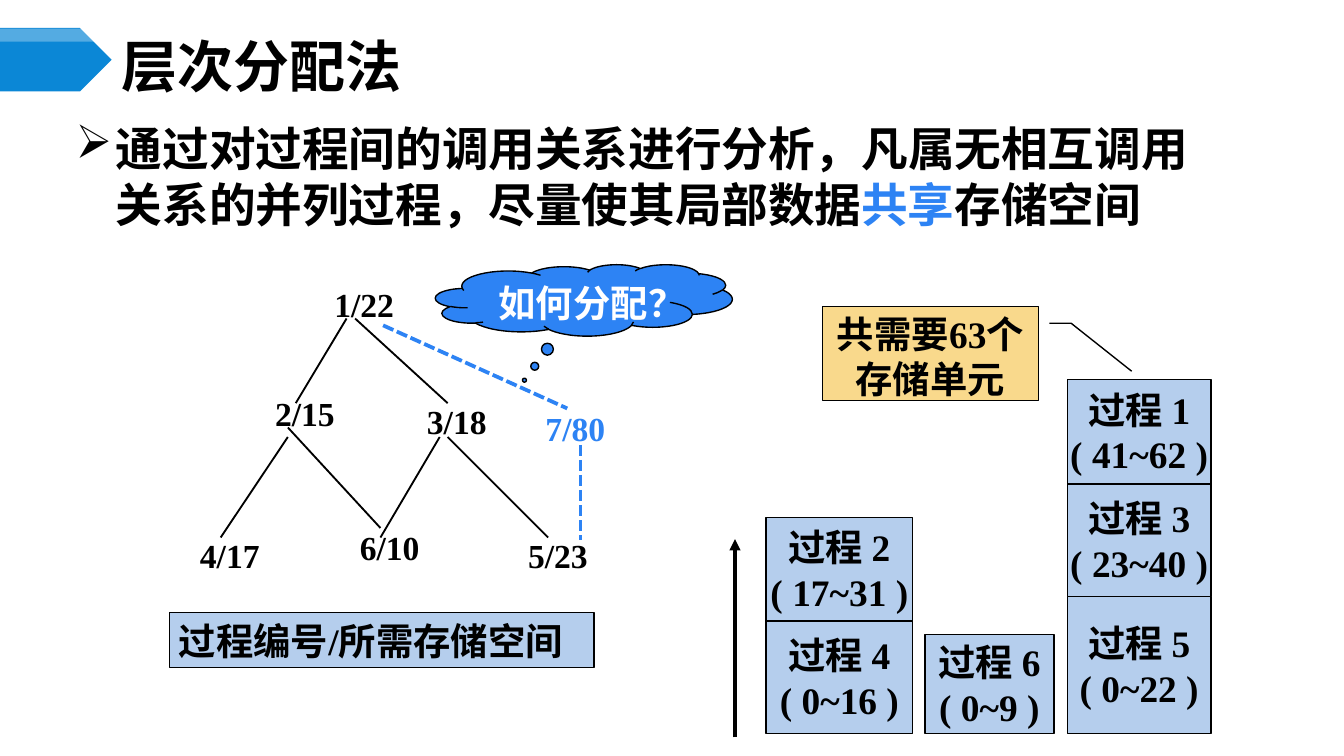
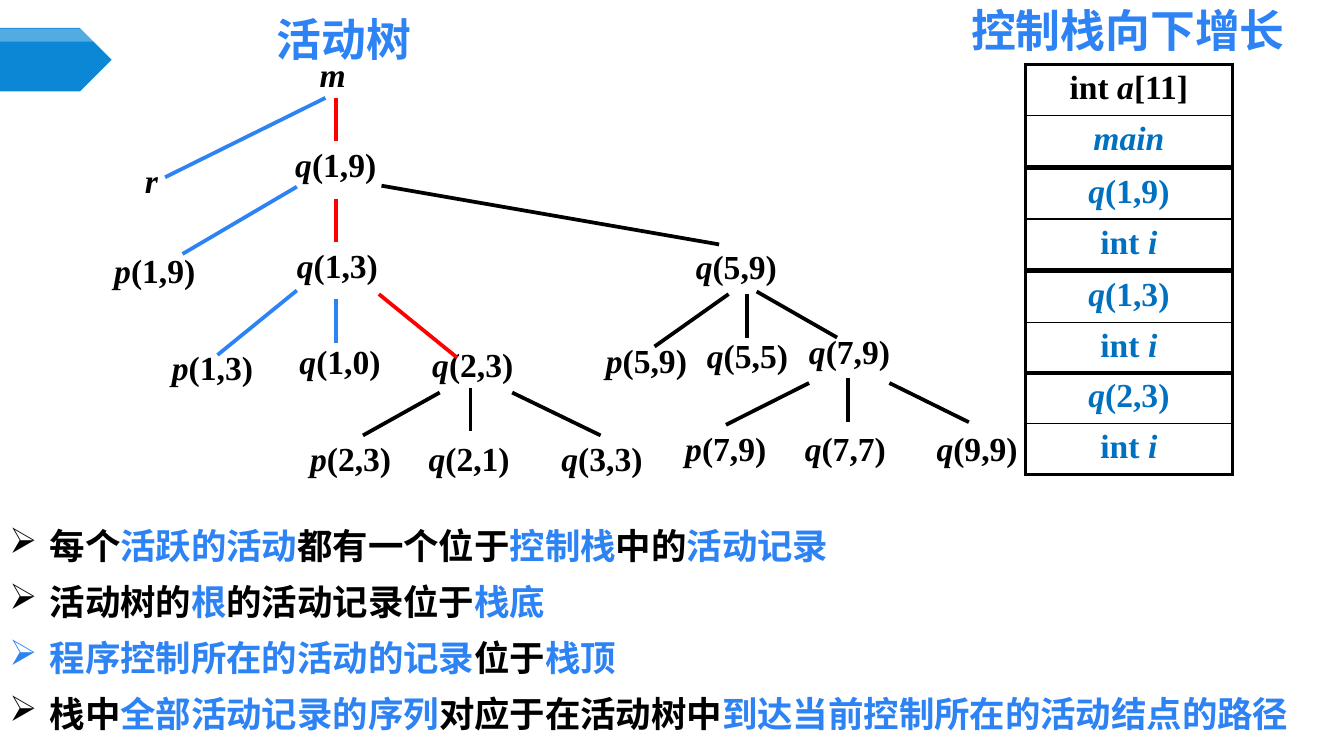
from lxml.etree import SubElement
from pptx import Presentation
from pptx.dml.color import RGBColor
from pptx.enum.dml import MSO_LINE
from pptx.enum.shapes import MSO_CONNECTOR, MSO_SHAPE
from pptx.enum.text import MSO_ANCHOR, PP_ALIGN
from pptx.oxml.ns import qn
from pptx.util import Cm, Pt

COLORS = {
    "black": "000000", "white": "FFFFFF", "band": "0B87D6", "accent": "2D83F4",
    "process": "B5CEED", "note": "F9D98C", "record": "0070C0", "active": "FF0000",
}
SERIF, SANS = "Times New Roman", "Noto Sans CJK SC"
TIGHT, NORMAL = (0.18, 0.1), (0.25, 0.13)


def rgb(name):
    return RGBColor.from_string(COLORS[name])


def write_span(para, text, size=18, color="black", font=SERIF, italic=False):
    span = para.add_run()
    span.text = text
    span.font.size, span.font.bold, span.font.italic = Pt(size), True, italic
    span.font.color.rgb = rgb(color)
    span.font.name = font
    SubElement(span.font._element, qn("a:ea")).set("typeface", SANS)


def write(para, text, marked=None, align=None, spacing=None, **style):
    """Write text; parts between asterisks also take the marked format."""
    para.alignment = align
    if spacing:
        para.line_spacing = Pt(spacing)
    for index, part in enumerate(text.split("*")):
        if part:
            write_span(para, part, **{**style, **(marked or {} if index % 2 else {})})


def fill_frame(frame, lines, margins=TIGHT, anchor=MSO_ANCHOR.TOP, wrap=True, **style):
    frame.word_wrap = wrap
    frame.vertical_anchor = anchor
    frame.margin_left = frame.margin_right = Cm(margins[0])
    frame.margin_top = frame.margin_bottom = Cm(margins[1])
    for index, line in enumerate(lines):
        para = frame.add_paragraph() if index else frame.paragraphs[0]
        write(para, line, **style)


def add_text(page, place, *lines, **style):
    box = page.shapes.add_textbox(*map(Cm, place))
    fill_frame(box.text_frame, lines, **style)
    return box


def add_box(page, place, fill, *lines, kind=MSO_SHAPE.RECTANGLE, adjustments=(),
            outline="black", **style):
    box = page.shapes.add_shape(kind, *map(Cm, place))
    box.shadow.inherit = False
    box.fill.solid()
    box.fill.fore_color.rgb = rgb(fill)
    if outline:
        box.line.color.rgb = rgb(outline)
        box.line.width = Pt(0.75)
    else:
        box.line.fill.background()
    for index, value in enumerate(adjustments):
        box.adjustments[index] = value
    if lines:
        fill_frame(box.text_frame, lines, size=20, spacing=24, **style)
    return box


def add_line(page, ends, color="black", width=2, dashed=False, arrow=False):
    line = page.shapes.add_connector(MSO_CONNECTOR.STRAIGHT, *map(Cm, ends))
    line.line.color.rgb = rgb(color)
    line.line.width = Pt(width)
    if dashed:
        line.line.dash_style = MSO_LINE.SQUARE_DOT
    if arrow:
        SubElement(line.line._get_or_add_ln(), qn("a:tailEnd")).set("type", "triangle")
    SubElement(line._element.spPr, qn("a:effectLst"))


def add_bullets(box, margin, hanging):
    for para in box.text_frame.paragraphs:
        properties = para._p.get_or_add_pPr()
        properties.set("marL", str(Cm(margin)))
        properties.set("indent", str(-Cm(hanging)))
        SubElement(properties, qn("a:buChar")).set("char", "➢")


def add_band(page):
    add_box(page, (0, 0.53, 2.11, 1.2), "band", kind=MSO_SHAPE.PENTAGON, outline=None)
    gloss = add_box(page, (0, 0.54, 2.11, 0.25), "white", kind=MSO_SHAPE.PENTAGON,
                    outline=None)
    color = gloss._element.spPr.find(qn("a:solidFill"))[0]
    SubElement(color, qn("a:alpha")).set("val", "30000")


def add_page(deck):
    page = deck.slides.add_slide(deck.slide_layouts[6])
    add_band(page)
    return page


def add_memory_column(page, left, width, processes, base=13.87):
    """Stack (number, units, height) blocks upward from the base."""
    top = base
    for number, units, height in processes:
        top -= height
        add_box(page, (left, top, width, height), "process", f"过程 {number}",
                f"( {units} )", anchor=MSO_ANCHOR.MIDDLE, wrap=False,
                align=PP_ALIGN.CENTER)


def set_borders(cell, **widths):
    properties = cell._tc.get_or_add_tcPr()
    for index, (side, width) in enumerate(widths.items()):
        border = properties.makeelement(qn(f"a:{side}"), {"w": str(Pt(width))})
        fill = SubElement(border, qn("a:solidFill"))
        SubElement(fill, qn("a:srgbClr")).set("val", COLORS["black"])
        properties.insert(index, border)


def add_record(page, top, rows):
    """Add one activation record of two (text, color) rows."""
    frame = page.shapes.add_table(2, 1, Cm(19.38), Cm(top), Cm(3.91), Cm(1.9))
    table = frame.table
    table.first_row = table.horz_banding = False
    for index, (text, color) in enumerate(rows):
        table.rows[index].height = Cm(0.95)
        cell = table.cell(index, 0)
        cell.margin_left = cell.margin_right = Cm(0.2)
        cell.margin_top = cell.margin_bottom = Cm(0.1)
        cell.fill.background()
        set_borders(cell, lnL=2.25, lnR=2.25, lnT=1 if index else 2.25,
                    lnB=2.25 if index else 1)
        write(cell.text_frame.paragraphs[0], text, marked={"italic": True},
              color=color, align=PP_ALIGN.CENTER)


def add_call_tree(page):
    for text, left, top in [
        ("1/22", 6.07, 5.23), ("2/15", 4.95, 7.29), ("3/18", 7.82, 7.44),
        ("4/17", 3.53, 9.98), ("6/10", 6.55, 9.83), ("5/23", 9.73, 9.98),
        ("7/80", 10.06, 7.59),
    ]:
        add_text(page, (left, top, 1.91, 1), text, margins=NORMAL,
                 color="accent" if text == "7/80" else "black")
    for ends in [
        (6.55, 6.02, 5.59, 7.62), (6.71, 6.02, 8.46, 7.62),
        (5.44, 8.26, 4.17, 10.16), (5.44, 8.08, 7.19, 9.98),
        (8.31, 8.26, 7.19, 10.16), (8.46, 8.26, 10.36, 10.16),
    ]:
        add_line(page, ends, width=1)
    for ends in [(7.24, 6.15, 10.72, 7.72), (10.97, 8.41, 10.97, 10.21)]:
        add_line(page, ends, "accent", dashed=True)


def build_allocation_page(deck):
    page = add_page(deck)
    add_text(page, (2.11, 0.74, 22.02, 0.99), "层次分配法", size=30, font=SANS,
             anchor=MSO_ANCHOR.MIDDLE)
    body = add_text(
        page, (0.41, 2.16, 22.99, 8.97),
        "通过对过程间的调用关系进行分析，凡属无相互调用关系的并列过程，"
        "尽量使其局部数据*共享*存储空间",
        size=25, spacing=30, marked={"color": "accent"})
    add_bullets(body, 1.6, 0.76)
    add_memory_column(page, 14.48, 2.77, [(4, "0~16", 2.13), (2, "17~31", 1.96)])
    add_memory_column(page, 17.48, 2.44, [(6, "0~9", 1.88)])
    add_memory_column(page, 20.17, 2.72, [(5, "0~22", 2.59), (3, "23~40", 2.13),
                                          (1, "41~62", 1.98)])
    add_box(page, (15.54, 5.79, 4.09, 1.78), "note", "共需要63个存储单元",
            kind=MSO_SHAPE.LINE_CALLOUT_2, align=PP_ALIGN.CENTER,
            adjustments=(0.18, 1.05, 0.18, 1.15, 0.69, 1.43))
    add_line(page, (13.89, 13.94, 13.89, 10.19), arrow=True)
    add_call_tree(page)
    add_box(page, (8.23, 5, 5.61, 1.35), "accent", "如何分配？", color="white",
            kind=MSO_SHAPE.CLOUD_CALLOUT, align=PP_ALIGN.CENTER,
            adjustments=(-0.2, 1.12))
    add_box(page, (3.2, 11.58, 8.03, 1.04), "process", "过程编号/所需存储空间",
            align=PP_ALIGN.LEFT)


def add_activation_tree(page):
    for text, left, top in [
        ("*m*", 5.79, 0.89), ("*r*", 2.49, 2.9), ("*q*(1,9)", 5.33, 2.59),
        ("*p*(1,9)", 1.91, 4.6), ("*q*(1,3)", 5.36, 4.5), ("*q*(5,9)", 12.9, 4.52),
        ("*p*(1,3)", 3, 6.43), ("*q*(1,0)", 5.41, 6.32), ("*q*(2,3)", 7.92, 6.38),
        ("*p*(5,9)", 11.2, 6.3), ("*q*(5,5)", 13.11, 6.2), ("*q*(7,9)", 15.04, 6.12),
        ("*p*(2,3)", 5.61, 8.15), ("*q*(2,1)", 7.85, 8.15), ("*q*(3,3)", 10.36, 8.15),
        ("*p*(7,9)", 12.7, 7.95), ("*q*(7,7)", 14.96, 7.95), ("*q*(9,9)", 17.45, 7.95),
    ]:
        width = 2.39 if "(" in text else 1.22
        add_text(page, (left, top, width, 1.45), text, margins=NORMAL,
                 marked={"italic": True}, align=PP_ALIGN.JUSTIFY)
    branches = {
        "active": [(6.35, 1.85, 6.35, 2.67), (6.35, 3.76, 6.35, 4.57),
                   (7.16, 5.56, 8.64, 6.76)],
        "accent": [(6.15, 1.85, 3.12, 3.35), (5.61, 3.53, 3.45, 4.8),
                   (5.61, 5.49, 4.11, 6.71), (6.35, 5.66, 6.35, 6.48)],
        "black": [(7.21, 3.51, 13.59, 4.62),
                  (8.31, 7.42, 6.86, 8.23), (8.89, 7.34, 8.89, 8.15),
                  (9.68, 7.42, 11.35, 8.23),
                  (13.77, 5.56, 12.37, 6.55), (14.12, 5.56, 14.12, 6.38),
                  (14.3, 5.51, 15.82, 6.38),
                  (15.29, 7.24, 13.72, 8.03), (16.03, 7.14, 16.03, 7.98),
                  (16.81, 7.24, 18.31, 7.98)],
    }
    for color, lines in branches.items():
        for ends in lines:
            add_line(page, ends, color)


def build_activation_page(deck):
    page = add_page(deck)
    for text, place in [("活动树", (3.58, 0.13, 5.84, 1.22)),
                        ("控制栈向下增长", (17.91, -0.05, 6.81, 1.22))]:
        add_text(page, place, text, size=24, color="accent", font=SANS,
                 align=PP_ALIGN.CENTER)
    add_activation_tree(page)
    add_record(page, 1.22, [("int* a*[11]", "black"), ("*main*", "record")])
    for top, call in [(3.18, "(1,9)"), (5.13, "(1,3)"), (7.04, "(2,3)")]:
        add_record(page, top, [(f"*q*{call}", "record"), ("int *i*", "record")])
    notes = add_text(
        page, (0, 9.55, 25.1, 4.47),
        "每个*活跃的活动*都有一个位于*控制栈*中的*活动记录*",
        "活动树的*根*的活动记录位于*栈底*",
        "*程序控制所在的活动的记录*位于*栈顶*",
        "栈中*全部活动记录的序列*对应于在活动树中*到达当前控制所在的活动结点的路径*",
        size=19, font=SANS, spacing=30, align=PP_ALIGN.JUSTIFY,
        marked={"color": "accent"})
    add_bullets(notes, 0.76, 0.76)


def main():
    deck = Presentation()
    deck.slide_width, deck.slide_height = Cm(25.4), Cm(14.29)
    build_allocation_page(deck)
    build_activation_page(deck)
    deck.save("out.pptx")


if __name__ == "__main__":
    main()
